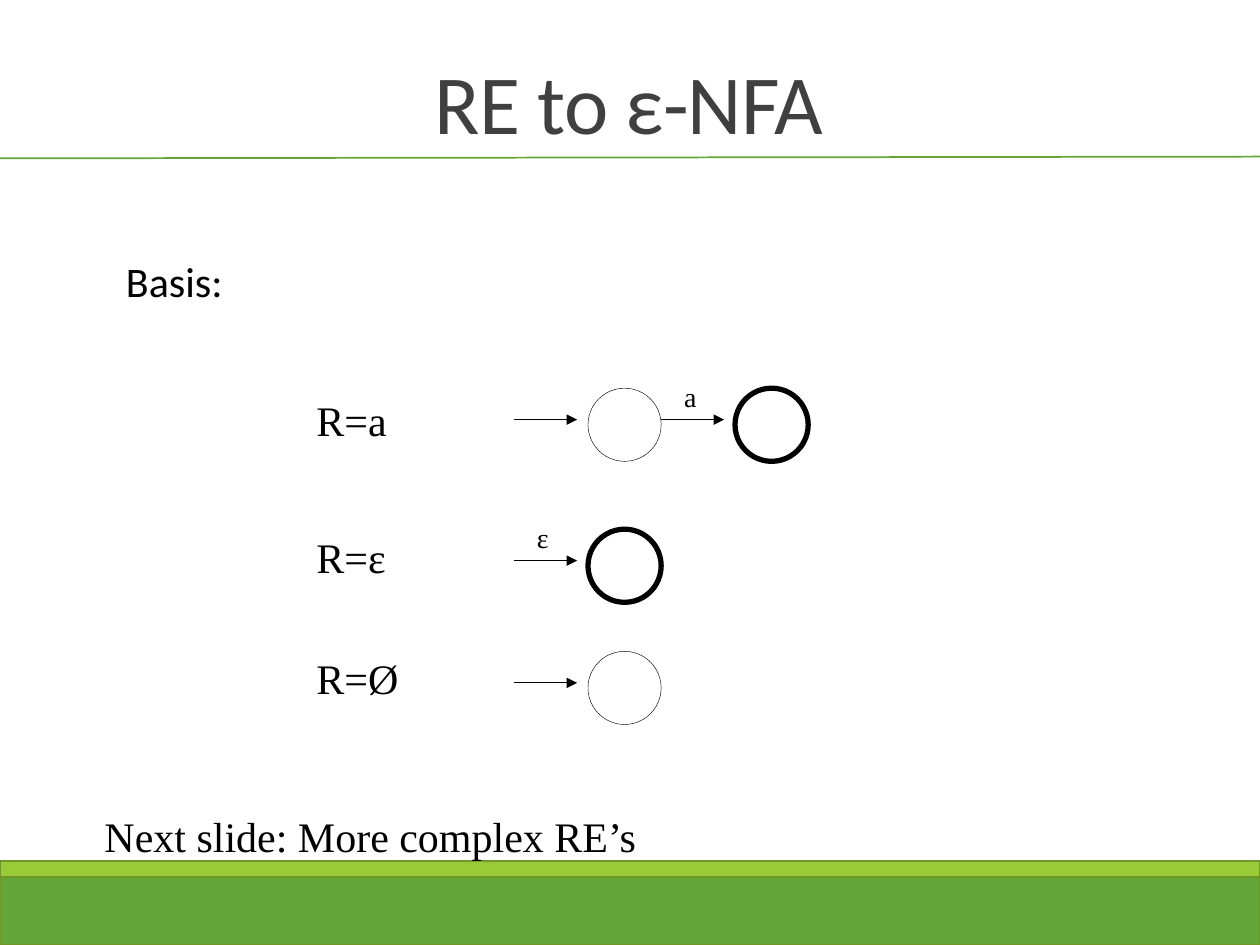
from lxml import etree
from pptx import Presentation
from pptx.dml.color import RGBColor
from pptx.enum.shapes import MSO_CONNECTOR, MSO_SHAPE
from pptx.enum.text import MSO_ANCHOR, MSO_AUTO_SIZE, PP_ALIGN
from pptx.oxml.ns import qn
from pptx.util import Pt

STRAIGHT = MSO_CONNECTOR.STRAIGHT
RECTANGLE, OVAL = MSO_SHAPE.RECTANGLE, MSO_SHAPE.OVAL
BOTTOM, CENTER = MSO_ANCHOR.BOTTOM, PP_ALIGN.CENTER
FIT_SHAPE = MSO_AUTO_SIZE.SHAPE_TO_FIT_TEXT

BLACK = RGBColor(0x00, 0x00, 0x00)
GRAY = RGBColor(0x40, 0x40, 0x40)
GREEN = RGBColor(0x63, 0xA5, 0x37)
LIME = RGBColor(0x99, 0xCB, 0x38)
OLIVE = RGBColor(0x71, 0x96, 0x29)

STATE_SIZE = 41.8
STATE_X = 336
STEP = 84
ARROW_LENGTH = 36


def add_text(text, left, top, width, height, size, font="Times New Roman", color=BLACK):
    box = slide.shapes.add_textbox(Pt(left), Pt(top), Pt(width), Pt(height))
    frame = box.text_frame
    frame.text = text
    run_font = frame.paragraphs[0].runs[0].font
    run_font.name = font
    run_font.size = Pt(size)
    run_font.color.rgb = color
    return frame


def add_line(x1, y1, x2, y2, color, width):
    line = slide.shapes.add_connector(STRAIGHT, Pt(x1), Pt(y1), Pt(x2), Pt(y2))
    line.line.color.rgb = color
    line.line.width = Pt(width)
    etree.SubElement(line._element.spPr, qn("a:effectLst"))
    return line


prs = Presentation()
prs.slide_width, prs.slide_height = Pt(720), Pt(540)
slide = prs.slides.add_slide(prs.slide_layouts[6])

for top, height, color in [(498.2, 41.8, GREEN), (491.8, 9.4, LIME)]:
    band = slide.shapes.add_shape(RECTANGLE, 0, Pt(top), Pt(720), Pt(height))
    band.shadow.inherit = False
    band.fill.solid()
    band.fill.fore_color.rgb = color
    band.line.color.rgb = OLIVE
    band.line.width = Pt(1.25)

add_line(0, 90.5, 720, 89.5, GREEN, 1)

title = add_text("RE to ε-NFA", 35.3, 18, 648, 72, 48, "Calibri", GRAY)
title.word_wrap = True
title.vertical_anchor = BOTTOM
heading = title.paragraphs[0]
heading.alignment = CENTER
heading.line_spacing = 0.85
heading.runs[0].font._element.set("spc", "-50")

basis = add_text("Basis:", 36, 96.5, 648, 384, 24, "Calibri")
basis.word_wrap = True
basis.margin_left, basis.margin_right = Pt(36), 0
basis.margin_top = Pt(53)
basis.paragraphs[0].line_spacing = 0.9

expressions = [
    ("R=a", 221.8, 54.7, 221.8, ["", "a"]),
    ("R=ε", 300.2, 54, 302.4, ["ε"]),
    ("R=Ø", 369.4, 61.2, 372.2, [""]),
]
for expression, label_top, label_width, state_top, inputs in expressions:
    label = add_text(expression, 173.7, label_top, label_width, 36, 24)
    label.word_wrap = False
    label.auto_size = FIT_SHAPE

    for index, symbol in enumerate(inputs):
        state_x = STATE_X + index * STEP
        accepting = symbol != ""
        state = slide.shapes.add_shape(
            OVAL, Pt(state_x), Pt(state_top), Pt(STATE_SIZE), Pt(STATE_SIZE))
        state.shadow.inherit = False
        state.fill.background()
        state.line.color.rgb = BLACK
        state.line.width = Pt(3 if accepting else 0.25)

        arrow_x, arrow_y = state_x - 42.2, state_top + 18
        arrow = add_line(arrow_x, arrow_y, arrow_x + ARROW_LENGTH, arrow_y, BLACK, 0.75)
        etree.SubElement(arrow.line._get_or_add_ln(), qn("a:tailEnd"), type="triangle")

        if symbol:
            input_label = add_text(symbol, arrow_x + 6, arrow_y - 26.2, 21.6, 26.6, 16)
            input_label.word_wrap = False
            input_label.auto_size = FIT_SHAPE

next_topic = add_text("Next slide: More complex RE’s", 52.6, 459.4, 319.7, 36, 24)
next_topic.word_wrap = False
next_topic.auto_size = FIT_SHAPE

prs.save("out.pptx")
